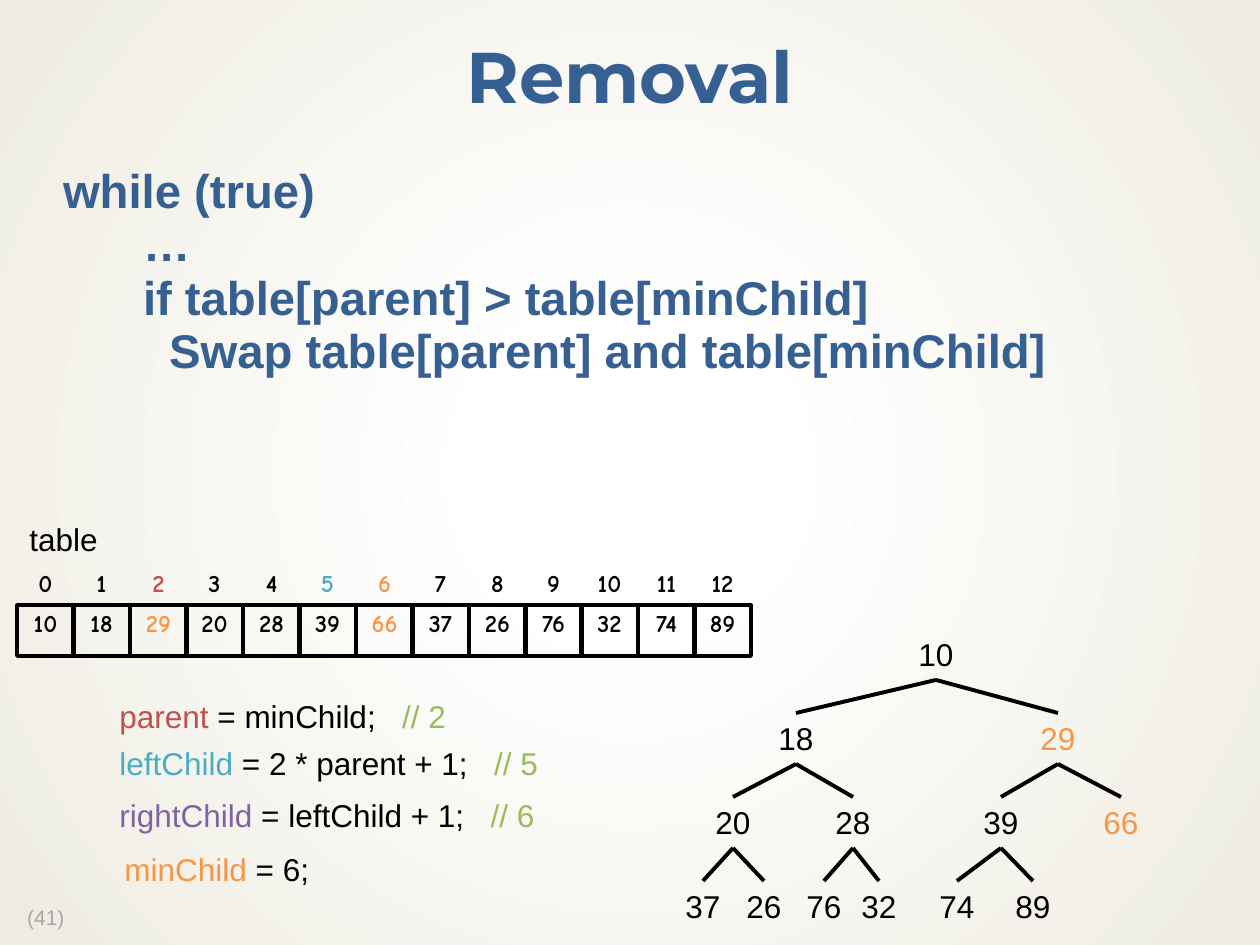
from lxml import etree
from pptx import Presentation
from pptx import util as u
from pptx.dml.color import RGBColor
from pptx.enum import shapes, text
from pptx.oxml import parse_xml
from pptx.oxml.ns import qn

PX = 914400 / 126
COLORS = {"blue": "376092", "black": "000000", "grey": "A6A6A6", "red": "C0504D",
          "cyan": "4BACC6", "orange": "F79646", "green": "9BBB59", "purple": "8064A2",
          "white": "FFFFFF", "cream": "EEECE1"}
A_NS = "http://schemas.openxmlformats.org/drawingml/2006/main"
P_NS = "http://schemas.openxmlformats.org/presentationml/2006/main"


def px(*lengths):
    return [round(length * PX) for length in lengths]


def write(box, spans, size, font="Arial", bold=False, align="LEFT",
          anchor="TOP", spacing=None, wrap=False):
    frame = box.text_frame
    frame.word_wrap = wrap
    frame.vertical_anchor = text.MSO_ANCHOR[anchor]
    para = frame.paragraphs[0]
    para.alignment = text.PP_ALIGN[align]
    para.line_spacing = spacing
    for words, color in spans:
        if words == "\n":
            para.add_line_break()
            continue
        span = para.add_run()
        span.text = words
        span.font.size = u.Pt(size)
        span.font.name = font
        span.font.bold = bold
        span.font.color.rgb = RGBColor.from_string(COLORS[color])
    return para


deck = Presentation()
deck.slide_width, deck.slide_height = px(1260, 945)
page = deck.slides.add_slide(deck.slide_layouts[6])

# Background: white centre fading to cream
page.background.fill.solid()
background = page.background.fill._xPr
background.replace(background.find(qn("a:solidFill")), parse_xml(
    f'<a:gradFill xmlns:a="{A_NS}" rotWithShape="1"><a:gsLst>'
    f'<a:gs pos="18000"><a:srgbClr val="{COLORS["white"]}"/></a:gs>'
    f'<a:gs pos="100000"><a:srgbClr val="{COLORS["cream"]}"/></a:gs></a:gsLst>'
    '<a:path path="circle"><a:fillToRect l="50000" t="50000" r="50000" b="50000"/>'
    '</a:path></a:gradFill>'))

# Slide number and title
number = page.shapes.add_textbox(*px(9, 901, 71, 35))
write(number, [(" (41)", "grey")], 12, spacing=0.9)
title = page.shapes.add_textbox(*px(0, 21, 1260, 118))
write(title, [("Removal", "blue")], 41, "Montserrat", True, "CENTER", "MIDDLE", 0.9, True)

# Pseudocode, one paragraph with line breaks and a tab stop
code = page.shapes.add_textbox(*px(48, 158, 1166, 712))
frame = code.text_frame
frame.margin_left, frame.margin_right, frame.margin_top, frame.margin_bottom = px(15, 15, 8, 8)
lines = ["while (true)", "\t…", "\tif table[parent] > table[minChild]",
         "\t  Swap table[parent] and table[minChild]"]
spans = [(lines[0], "blue")]
for line in lines[1:]:
    spans += [("\n", "blue"), (line, "blue")]
para = write(code, spans, 27, bold=True, spacing=0.94, wrap=True)
properties = para._p.get_or_add_pPr()
indent, stop = px(17, 130)
properties.set("marL", str(indent))
properties.set("indent", str(-indent))
etree.SubElement(properties, qn("a:buNone"))
tabs = etree.SubElement(properties, qn("a:tabLst"))
etree.SubElement(tabs, qn("a:tab"), pos=str(stop), algn="l")

# Heap as a tree: centre of each node, level by level
heap = [10, 18, 29, 20, 28, 39, 66, 37, 26, 76, 32, 74, 89]
centers = [936, 796, 1058, 733, 853, 1001, 1121, 703, 764, 824, 879, 957, 1033]
nodes = []
for index, (value, center) in enumerate(zip(heap, centers)):
    level = (index + 1).bit_length() - 1
    node = page.shapes.add_textbox(*px(center - 30, 629 + 84 * level, 60, 51))
    write(node, [(str(value), "orange" if index in (2, 6) else "black")], 18)
    nodes.append(node)
for index in range(1, len(nodes)):
    edge = page.shapes.add_connector(shapes.MSO_CONNECTOR.STRAIGHT, 0, 0, 0, 0)
    edge.begin_connect(nodes[(index - 1) // 2], 2)
    edge.end_connect(nodes[index], 0)
    edge.line.width = u.Pt(2.25)
    edge.line.color.rgb = RGBColor.from_string(COLORS["black"])
    etree.SubElement(edge._element.spPr, qn("a:effectLst"))

# Heap as an array: cells with their indices above
index_colors = {2: "red", 5: "cyan", 6: "orange"}
for index, value in enumerate(heap):
    left = 17 + round(index * 56.45)
    cell = page.shapes.add_shape(shapes.MSO_SHAPE.RECTANGLE, *px(left, 605, 57, 51))
    cell.shadow.inherit = False
    cell.fill.background()
    cell.line.width = u.Pt(2.25)
    cell.line.color.rgb = RGBColor.from_string(COLORS["black"])
    label = page.shapes.add_textbox(*px(left, 565, 57, 51))
    value_color = "orange" if index in (2, 6) else "black"
    for box, words, color in ((cell, value, value_color),
                              (label, index, index_colors.get(index, "black"))):
        write(box, [(str(words), color)], 14, "Comic Neue", True, "CENTER",
              spacing=0.9, wrap=True)

# Array caption and variable values
notes = [
    (17, 514, 95, [("table", "black")]),
    (107, 691, 355, [("parent", "red"), (" = minChild;   ", "black"), ("// 2", "green")]),
    (107, 738, 449, [("leftChild ", "cyan"), ("= 2 * parent + 1;   ", "black"), ("// 5", "green")]),
    (107, 790, 462, [("rightChild ", "purple"), ("= leftChild + 1;   ", "black"), ("// 6", "green")]),
    (112, 844, 212, [("minChild ", "orange"), ("= 6;", "black")]),
]
for left, top, width, spans in notes:
    write(page.shapes.add_textbox(*px(left, top, width, 51)), spans, 18)

deck.save("out.pptx")
